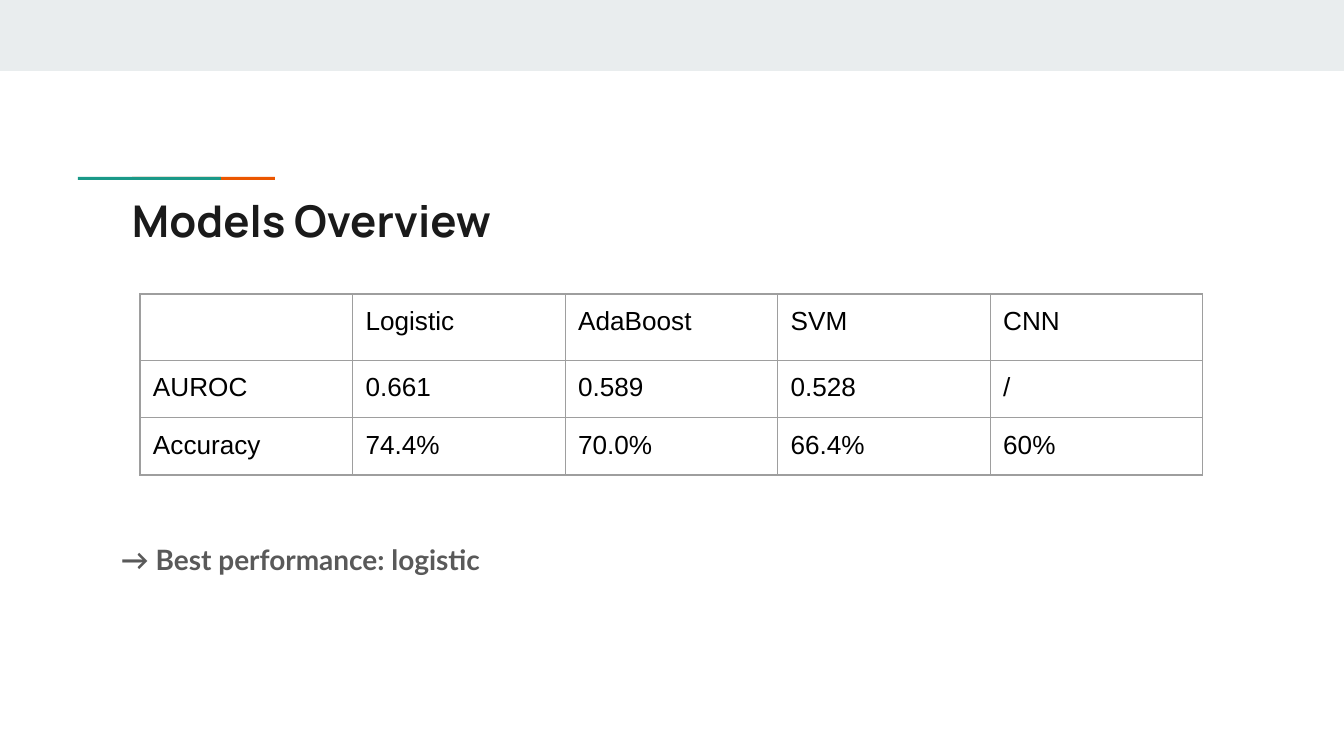
import pptx
import pptx.dml.color
import pptx.enum.shapes
import pptx.oxml
import pptx.oxml.ns
import pptx.util
from lxml import etree

EMU_PER_PX = 914400 / 134.4
INSET = 13
COLORS = {
    "band": "E9EDEE",
    "teal": "1A9988",
    "orange": "EB5600",
    "title": "1A1A1A",
    "body": "595959",
    "cell": "000000",
    "border": "9E9E9E",
}
MODEL_SCORES = [
    ["", "Logistic", "AdaBoost", "SVM", "CNN"],
    ["AUROC", "0.661", "0.589", "0.528", "/"],
    ["Accuracy", "74.4%", "70.0%", "66.4%", "60%"],
]


def px(length):
    return pptx.util.Emu(round(length * EMU_PER_PX))


def rgb(name):
    return pptx.dml.color.RGBColor.from_string(COLORS[name])


def write_text(frame, text, *, font, size, color, bold=False):
    run = frame.paragraphs[0].add_run()
    run.text = text
    run.font.name = font
    run.font.size = pptx.util.Pt(size)
    run.font.bold = bold
    run.font.color.rgb = rgb(color)


def set_margins(target):
    """Give a text frame or table cell the same inset on every side."""
    target.margin_left = target.margin_right = px(INSET)
    target.margin_top = target.margin_bottom = px(INSET)


def add_borders(cell, color, width):
    properties = cell._tc.get_or_add_tcPr()
    for index, side in enumerate(("lnL", "lnR", "lnT", "lnB")):
        line = etree.Element(pptx.oxml.ns.qn(f"a:{side}"), w=str(pptx.util.Pt(width)))
        fill = etree.SubElement(line, pptx.oxml.ns.qn("a:solidFill"))
        etree.SubElement(fill, pptx.oxml.ns.qn("a:srgbClr"), val=COLORS[color])
        properties.insert(index, line)


class SlideBuilder:
    def __init__(self, slide):
        self.slide = slide

    def bar(self, left, top, width, height, color):
        shape = self.slide.shapes.add_shape(
            pptx.enum.shapes.MSO_SHAPE.RECTANGLE,
            px(left), px(top), px(width), px(height),
        )
        shape.shadow.inherit = False
        shape.fill.solid()
        shape.fill.fore_color.rgb = rgb(color)
        shape.line.fill.background()

    def text(self, left, top, width, height, text, **style):
        shape = self.slide.shapes.add_textbox(px(left), px(top), px(width), px(height))
        frame = shape.text_frame
        frame.word_wrap = True
        set_margins(frame)
        write_text(frame, text, **style)

    def table(self, left, top, width, row_height, rows):
        """Draw a bordered grid; the empty corner's larger type deepens its row."""
        table = self.slide.shapes.add_table(
            len(rows), len(rows[0]), px(left), px(top),
            px(width), px(row_height * len(rows)),
        ).table
        table.first_row = table.horz_banding = False
        for column in table.columns:
            column.width = px(width / len(rows[0]))
        for row, values in zip(table.rows, rows):
            row.height = px(row_height)
            for cell, value in zip(row.cells, values):
                set_margins(cell)
                cell.fill.background()
                add_borders(cell, "border", 0.75)
                if value:
                    write_text(cell.text_frame, value, font="Arial", size=14, color="cell")


def main():
    presentation = pptx.Presentation()
    presentation.slide_width = px(1344)
    presentation.slide_height = px(756)
    builder = SlideBuilder(presentation.slides.add_slide(presentation.slide_layouts[6]))

    builder.bar(0, 0, 1344, 71, "band")
    builder.bar(132, 177, 143, 3, "orange")
    builder.bar(78, 177, 143, 3, "teal")
    builder.text(119, 181, 1130, 79, "Models Overview",
                 font="Manrope", size=23.4, color="title", bold=True)
    builder.table(140, 294, 1063, 56, MODEL_SCORES)
    builder.text(108, 530, 1130, 226, "→ Best performance: logistic",
                 font="Lato", size=15, color="body", bold=True)

    presentation.save("out.pptx")


if __name__ == "__main__":
    main()
